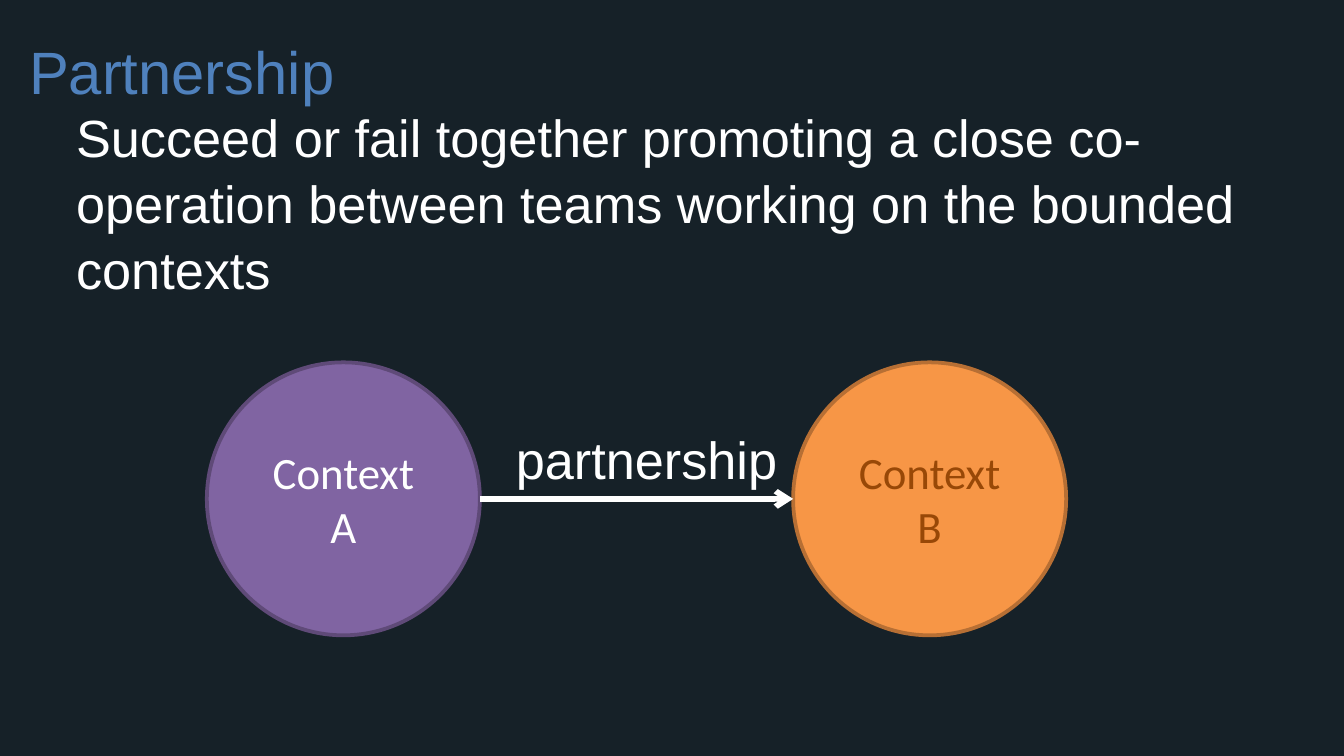
from lxml import etree
from pptx import Presentation
from pptx.dml.color import RGBColor
from pptx.enum.shapes import MSO_CONNECTOR, MSO_SHAPE
from pptx.enum.text import MSO_ANCHOR, PP_ALIGN
from pptx.oxml.ns import qn
from pptx.util import Cm, Pt

OVAL, STRAIGHT = MSO_SHAPE.OVAL, MSO_CONNECTOR.STRAIGHT
TOP, MIDDLE, CENTER = MSO_ANCHOR.TOP, MSO_ANCHOR.MIDDLE, PP_ALIGN.CENTER

COLORS = {
    "background": "162128", "title": "4F81BD", "white": "FFFFFF",
    "purple": "8064A2", "purple_edge": "5F4A78",
    "orange": "F79646", "orange_edge": "B76F34", "brown": "984807",
}

# Content: text, box (left, top, width, height in cm), top inset, size, colour, line spacing
TEXTS = [
    ("Partnership", (0.3, 0.41, 24.43, 1.32), 0.25, 32, "title", 1.0),
    ("Succeed or fail together promoting a close co-operation between teams "
     "working on the bounded contexts",
     (1.19, 1.78, 23.75, 3.2), 0.15, 28, "white", 1.05),
    ("partnership", (9.5, 7.87, 6.32, 1.55), 0.15, 28, "white", 1.05),
]
# Circles: lines, left in cm, fill, edge, text colour
CONTEXTS = [
    (("Context", "A"), 3.91, "purple", "purple_edge", "white"),
    (("Context", "B"), 14.99, "orange", "orange_edge", "brown"),
]
DIAMETER, CIRCLE_TOP = 5.16, 6.85


def rgb(name):
    return RGBColor.from_string(COLORS[name])


def style(p, font, size, color):
    p.font.name = font
    p.font.size = Pt(size)
    p.font.color.rgb = rgb(color)


prs = Presentation()
prs.slide_width, prs.slide_height = Cm(25.4), Cm(14.29)
s = prs.slides.add_slide(prs.slide_layouts[6])
s.background.fill.solid()
s.background.fill.fore_color.rgb = rgb("background")

# Title, description and arrow label
for text, box, inset, size, color, spacing in TEXTS:
    tf = s.shapes.add_textbox(*map(Cm, box)).text_frame
    tf.word_wrap = True
    tf.vertical_anchor = TOP
    tf.margin_top = Cm(inset)
    p = tf.paragraphs[0]
    p.text = text
    p.line_spacing = spacing
    style(p, "Arial", size, color)

# Context circles
for lines, left, fill, edge, color in CONTEXTS:
    sp = s.shapes.add_shape(OVAL, Cm(left), Cm(CIRCLE_TOP), Cm(DIAMETER), Cm(DIAMETER))
    sp.shadow.inherit = False
    sp.fill.solid()
    sp.fill.fore_color.rgb = rgb(fill)
    sp.line.color.rgb = rgb(edge)
    sp.line.width = Pt(2)
    tf = sp.text_frame
    tf.word_wrap = True
    tf.vertical_anchor = MIDDLE
    tf.text = "\n".join(lines)
    for p in tf.paragraphs:
        p.alignment = CENTER
        style(p, "Calibri", 24, color)

# Arrow from the right of circle A to the left of circle B
start, end = CONTEXTS[0][1] + DIAMETER, CONTEXTS[1][1]
y = CIRCLE_TOP + DIAMETER / 2
arrow = s.shapes.add_connector(STRAIGHT, Cm(start), Cm(y), Cm(end), Cm(y))
arrow.line.color.rgb = rgb("white")
arrow.line.width = Pt(3)
etree.SubElement(arrow.line._get_or_add_ln(), qn("a:tailEnd"), type="arrow")
etree.SubElement(arrow._element.spPr, qn("a:effectLst"))

prs.save("out.pptx")
